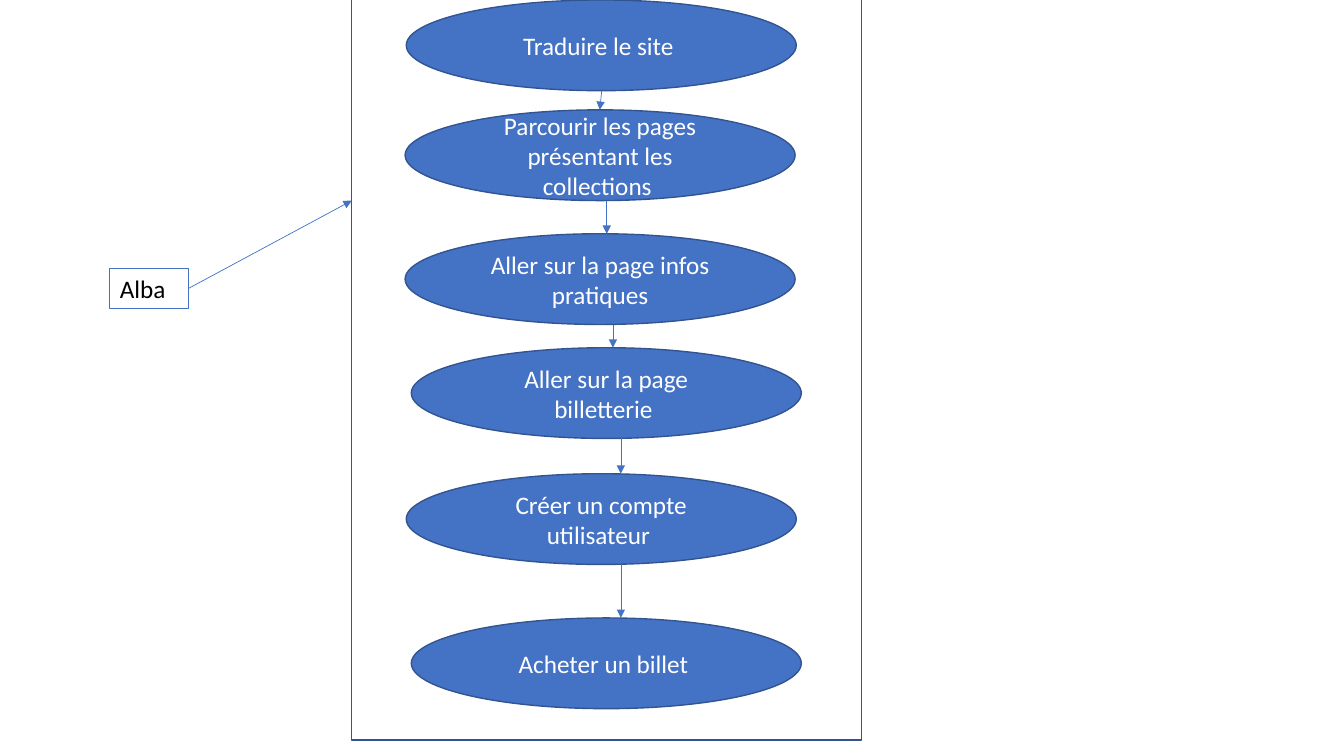
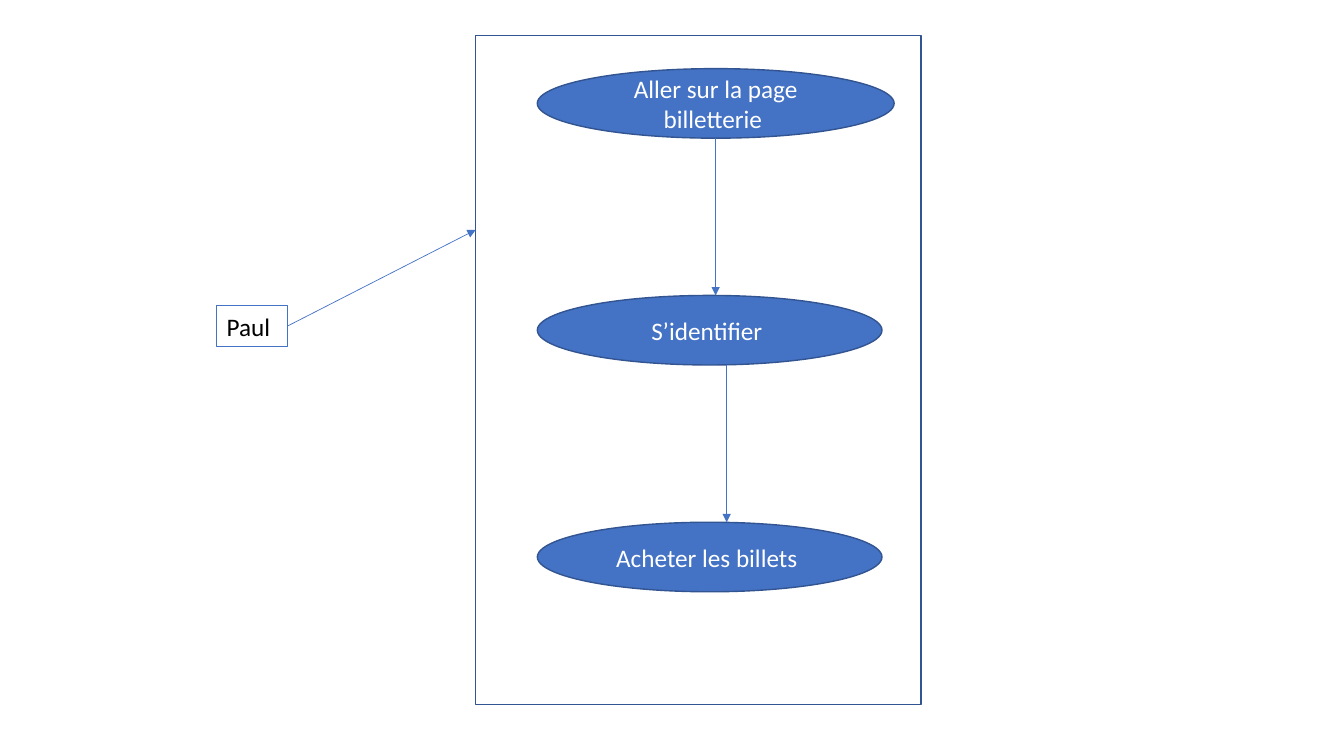
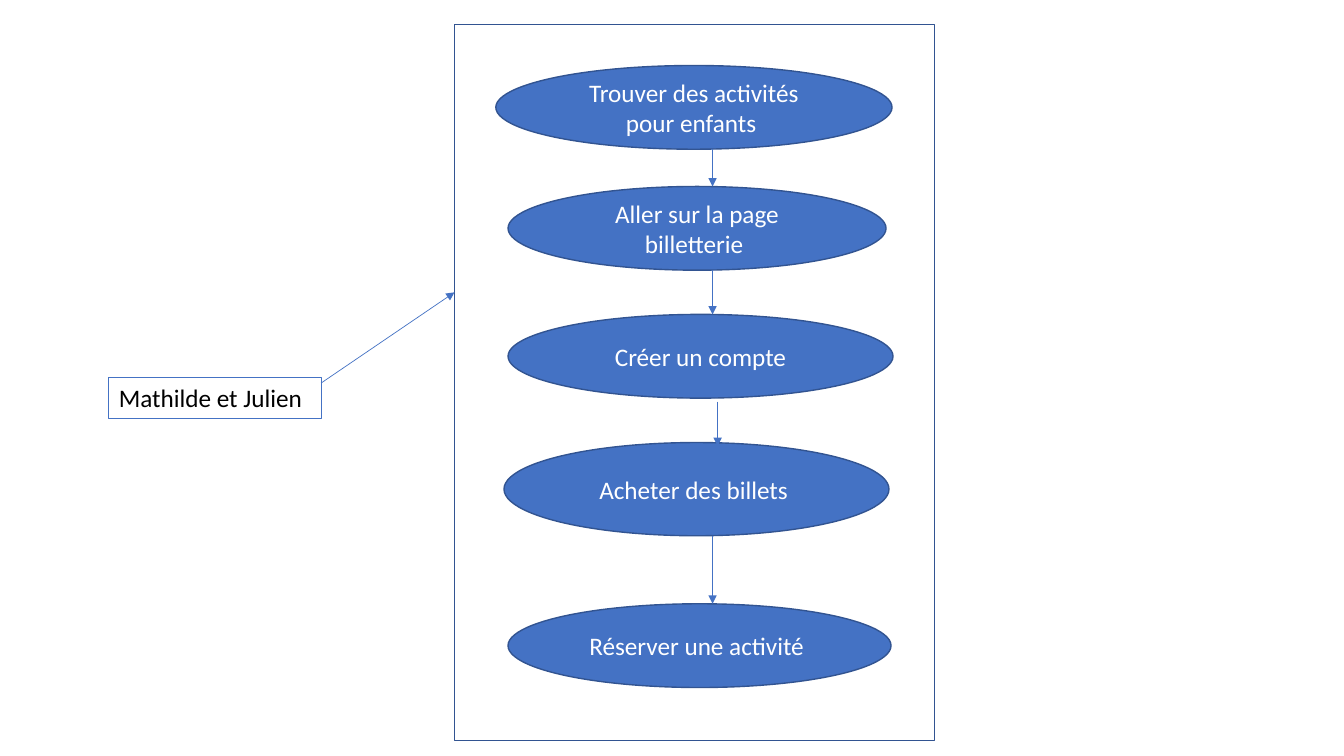
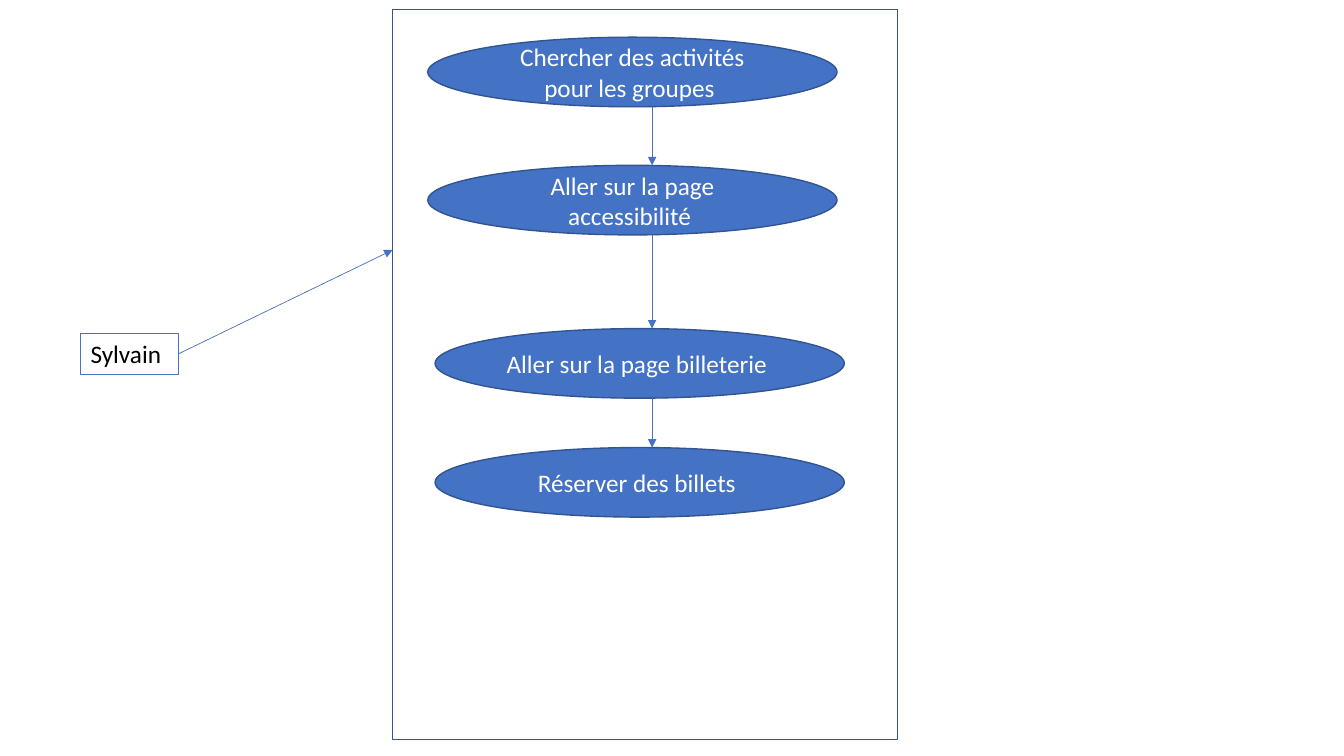
import dataclasses
import itertools

import lxml.etree
import pptx
import pptx.dml.color
import pptx.enum.shapes
import pptx.enum.text
import pptx.oxml.ns
import pptx.util

Pt = pptx.util.Pt
SHAPES = pptx.enum.shapes.MSO_SHAPE
ALIGN = pptx.enum.text.PP_ALIGN
ANCHOR = pptx.enum.text.MSO_ANCHOR
COLOURS = {"step": "4472C4", "edge": "325491", "paper": "FFFFFF", "ink": "000000"}
FONT = {"name": "Calibri", "size": Pt(18)}
STEP_FRAME = {"word_wrap": True, "vertical_anchor": ANCHOR.MIDDLE}
ACTOR_FRAME = {"word_wrap": False, "vertical_anchor": ANCHOR.TOP,
               "auto_size": pptx.enum.text.MSO_AUTO_SIZE.SHAPE_TO_FIT_TEXT}
ACTOR_HEIGHT = 29.08


@dataclasses.dataclass
class Box:
    """A rectangle on the page, in points."""
    left: float
    top: float
    width: float
    height: float

    def lengths(self):
        """Return the four lengths for python-pptx."""
        return [Pt(value) for value in dataclasses.astuple(self)]


@dataclasses.dataclass
class Step:
    """A use case, placed relative to its frame, and the arrow reaching it."""
    text: str
    box: Box
    arrow: float = 0
    drift: float = 0
    drop: float = 0


@dataclasses.dataclass
class Scenario:
    """A visitor, the frame of the site and the steps taken in it."""
    actor: str
    actor_box: Box
    exit_height: float
    entry_height: float
    frame: Box
    steps: list
    frame_fill: str = ""


def colour(name):
    """Look up a colour by name."""
    return pptx.dml.color.RGBColor.from_string(COLOURS[name])


def apply(target, formats):
    """Set attributes of an object from a dict."""
    for name, value in formats.items():
        setattr(target, name, value)


def draw_outline(line, name, width):
    """Give a line its colour and width."""
    line.color.rgb = colour(name)
    line.width = Pt(width)


def write(shape, text, ink, align, formats):
    """Put one paragraph of text in a shape."""
    apply(shape.text_frame, formats)
    para = shape.text_frame.paragraphs[0]
    para.alignment = align
    span = para.add_run()
    span.text = text
    apply(span.font, FONT)
    span.font.color.rgb = colour(ink)


def add_panel(page, kind, box, fill=""):
    """Add a preset shape with the dark outline, filled if a colour is named."""
    shape = page.shapes.add_shape(kind, *box.lengths())
    shape.shadow.inherit = False
    if fill:
        shape.fill.solid()
        shape.fill.fore_color.rgb = colour(fill)
    else:
        shape.fill.background()
    draw_outline(shape.line, "edge", 1)
    return shape


def add_arrow(page, start, end):
    """Draw a thin arrow between two points."""
    arrow = page.shapes.add_connector(
        pptx.enum.shapes.MSO_CONNECTOR.STRAIGHT,
        *[Pt(value) for value in (*start, *end)])
    draw_outline(arrow.line, "step", 0.5)
    properties = arrow._element.spPr
    outline = properties.find(pptx.oxml.ns.qn("a:ln"))
    lxml.etree.SubElement(outline, pptx.oxml.ns.qn("a:tailEnd"), type="triangle")
    lxml.etree.SubElement(properties, pptx.oxml.ns.qn("a:effectLst"))


def add_steps(page, frame, steps):
    """Place the ellipses in the frame and chain them with arrows."""
    for step in steps:
        box = dataclasses.replace(step.box, left=frame.left + step.box.left,
                                  top=frame.top + step.box.top)
        shape = add_panel(page, SHAPES.OVAL, box, "step")
        write(shape, step.text, "paper", ALIGN.CENTER, STEP_FRAME)
    for upper, lower in itertools.pairwise(steps):
        across = frame.left + lower.arrow
        down = frame.top + lower.drop
        add_arrow(page, (across, down + upper.box.top + upper.box.height),
                  (across + lower.drift, down + lower.box.top))


def add_actor(page, box, name):
    """Place the visitor's name in an outlined text box."""
    label = page.shapes.add_textbox(*box.lengths())
    write(label, name, "ink", ALIGN.LEFT, ACTOR_FRAME)
    draw_outline(label.line, "step", 0.75)


def add_scenario(deck, scenario):
    """Build the slide of one visitor."""
    page = deck.slides.add_slide(deck.slide_layouts[6])
    frame, actor = scenario.frame, scenario.actor_box
    add_panel(page, SHAPES.RECTANGLE, frame, scenario.frame_fill)
    add_steps(page, frame, scenario.steps)
    add_actor(page, actor, scenario.actor)
    add_arrow(page, (actor.left + actor.width, actor.top + scenario.exit_height),
              (frame.left, scenario.entry_height))


SCENARIOS = [
    Scenario("Alba  ", Box(78.5, 191.5, 56.2, ACTOR_HEIGHT), 14.5, 143.3,
             Box(251.3, -6.5, 364.3, 535), [
        Step("Traduire le site ", Box(38.9, 6.5, 278.6, 64.8)),
        Step("Parcourir les pages présentant les collections ",
             Box(38.1, 85, 278.6, 64.8), 178.5, drift=-1.4),
        Step("Aller sur la page infos pratiques",
             Box(38.1, 173.5, 278.6, 64.8), 182.1),
        Step("Aller sur la page billetterie ",
             Box(42.5, 254.9, 278.6, 64.8), 186.5),
        Step("Créer un compte utilisateur ",
             Box(38.9, 344.9, 278.6, 64.8), 192.2),
        Step("Acheter un billet ", Box(42.5, 447.9, 278.6, 64.8), 192.2),
    ]),
    Scenario("Paul ", Box(154.8, 218.5, 50.4, ACTOR_HEIGHT), 14.5, 164.2,
             Box(339.8, 25.2, 318.2, 478.1), [
        Step("Aller sur la page billetterie ", Box(44, 23.8, 254.9, 49.7)),
        Step("S’identifier ", Box(44, 185.8, 246.2, 49.7), 171.4),
        Step("Acheter les billets ", Box(44, 347.8, 246.2, 49.7), 179.3),
    ], "paper"),
    Scenario("Mathilde et Julien ", Box(77.8, 269.8, 151.6, ACTOR_HEIGHT), 3.8, 208.8,
             Box(324.7, 17.6, 342.7, 511.2), [
        Step("Trouver des activités pour enfants ", Box(29.5, 29.2, 283, 59.8)),
        Step("Aller sur la page billetterie ",
             Box(38.2, 115.6, 270, 59.8), 184.3),
        Step("Créer un compte", Box(38.2, 207, 275, 59.8), 184.3),
        Step("Acheter des billets ",
             Box(35.3, 298.5, 275, 66.6), 187.9, drop=2.5),
        Step("Réserver une activité ", Box(38.2, 413.7, 273.6, 59.8), 184.3),
    ]),
    Scenario("Sylvain ", Box(57.6, 238.3, 69.8, ACTOR_HEIGHT), 14.5, 178.6,
             Box(280.4, 7, 360.7, 521.3), [
        Step("Chercher des activités pour les groupes ",
             Box(25.2, 19.6, 292.3, 49.7)),
        Step("Aller sur la page accessibilité ",
             Box(25.2, 111.1, 292.3, 49.7), 185.4),
        Step("Aller sur la page billeterie ",
             Box(30.4, 227.7, 292.3, 49.7), 185.4),
        Step("Réserver des billets ", Box(30.4, 312.7, 292.3, 49.7), 185.4),
    ]),
]

deck = pptx.Presentation()
apply(deck, {"slide_width": Pt(960), "slide_height": Pt(540)})
for scenario in SCENARIOS:
    add_scenario(deck, scenario)
deck.save("out.pptx")
